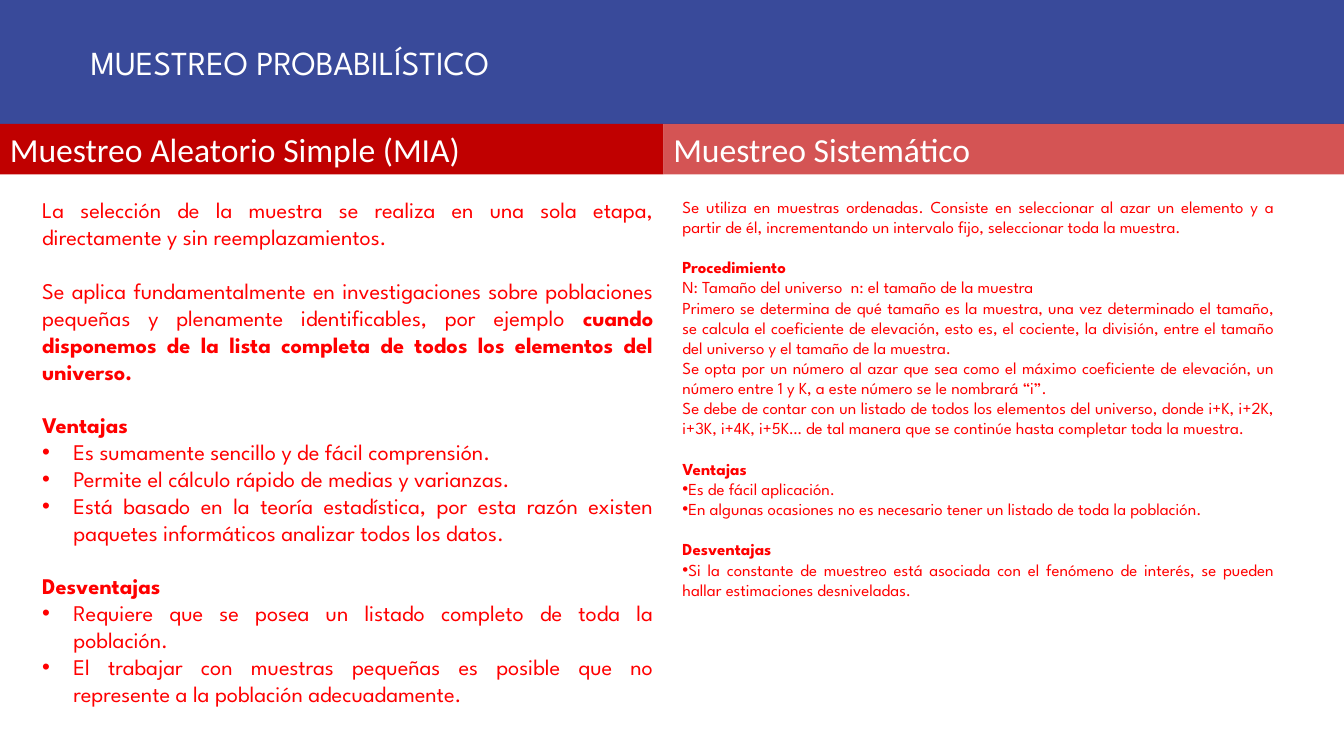
import pptx
import pptx.dml.color
import pptx.enum.shapes
import pptx.enum.text
import pptx.util
from lxml import etree

COLORS = {"title": "394A9A", "band": "C00000", "body": "FF0000", "light": "FFFFFF"}
ALIGN = pptx.enum.text.PP_ALIGN
ANCHOR = pptx.enum.text.MSO_ANCHOR
LINE_HEIGHT = 1.2

SIMPLE = [
    ("text", "La selección de la muestra se realiza en una sola etapa, directamente y sin reemplazamientos."),
    ("section", "Se aplica fundamentalmente en investigaciones sobre poblaciones pequeñas y plenamente "
     "identificables, por ejemplo ",
     "cuando disponemos de la lista completa de todos los elementos del universo."),
    ("heading", "Ventajas"),
    ("bullet", "Es sumamente sencillo y de fácil comprensión."),
    ("bullet", "Permite el cálculo rápido de medias y varianzas."),
    ("bullet", "Está basado en la teoría estadística, por esta razón existen paquetes informáticos "
     "analizar todos los datos."),
    ("heading", "Desventajas"),
    ("bullet", "Requiere que se posea un listado completo de toda la población."),
    ("bullet", "El trabajar con muestras pequeñas es posible que no represente a la población adecuadamente."),
]
SYSTEMATIC = [
    ("text", "Se utiliza en muestras ordenadas. Consiste en seleccionar al azar un elemento y a partir de él, "
     "incrementando un intervalo fijo, seleccionar toda la muestra."),
    ("heading", "Procedimiento"),
    ("text", "N: Tamaño del universo  n: el tamaño de la muestra"),
    ("text", "Primero se determina de qué tamaño es la muestra, una vez determinado el tamaño, se calcula el "
     "coeficiente de elevación, esto es, el cociente, la división, entre el tamaño del universo y el tamaño "
     "de la muestra."),
    ("text", "Se opta por un número al azar que sea como el máximo coeficiente de elevación, un número entre "
     "1 y K, a este número se le nombrará “i”."),
    ("text", "Se debe de contar con un listado de todos los elementos del universo, donde i+K, i+2K, i+3K, "
     "i+4K, i+5K… de tal manera que se continúe hasta completar toda la muestra."),
    ("heading", "Ventajas"),
    ("bullet", "Es de fácil aplicación."),
    ("bullet", "En algunas ocasiones no es necesario tener un listado de toda la población."),
    ("heading", "Desventajas"),
    ("bullet", "Si la constante de muestreo está asociada con el fenómeno de interés, se pueden hallar "
     "estimaciones desniveladas."),
]


class SlideBuilder:
    def __init__(self, presentation):
        self.width = presentation.slide_width
        self.height = presentation.slide_height
        self.slide = presentation.slides.add_slide(presentation.slide_layouts[5])

    def box(self, left, top, width, height):
        return (int(self.width * left / 100), int(self.height * top / 100),
                int(self.width * width / 100), int(self.height * height / 100))

    def fill(self, shape, color):
        shape.fill.solid()
        shape.fill.fore_color.rgb = pptx.dml.color.RGBColor.from_string(COLORS[color])

    def font(self, paragraph, name, size, color):
        paragraph.font.name = name
        paragraph.font.size = pptx.util.Pt(size)
        paragraph.font.color.rgb = pptx.dml.color.RGBColor.from_string(COLORS[color])

    def title(self, text, *place):
        shape = self.slide.shapes.title
        shape.left, shape.top, shape.width, shape.height = self.box(*place)
        self.fill(shape, "title")
        frame = shape.text_frame
        frame.auto_size = pptx.enum.text.MSO_AUTO_SIZE.NONE
        frame.vertical_anchor = ANCHOR.MIDDLE
        frame.margin_left = pptx.util.Inches(0.9)
        frame.margin_top = pptx.util.Inches(0.09)
        paragraph = frame.paragraphs[0]
        paragraph.text = text
        paragraph.alignment = ALIGN.LEFT
        self.font(paragraph, "League Spartan", 24, "light")

    def band(self, text, *place, opacity=100):
        shape = self.slide.shapes.add_shape(pptx.enum.shapes.MSO_SHAPE.RECTANGLE, *self.box(*place))
        shape.shadow.inherit = False
        shape.line.fill.background()
        self.fill(shape, "band")
        if opacity < 100:
            color = shape.fill._xPr.find(".//" + pptx.oxml.ns.qn("a:srgbClr"))
            etree.SubElement(color, pptx.oxml.ns.qn("a:alpha"), val=str(opacity * 1000))
        frame = shape.text_frame
        frame.word_wrap = True
        frame.vertical_anchor = ANCHOR.TOP
        paragraph = frame.paragraphs[0]
        paragraph.text = text
        paragraph.alignment = ALIGN.LEFT
        self.font(paragraph, "Calibri", 24, "light")

    def bullet(self, paragraph, indent):
        properties = paragraph._p.get_or_add_pPr()
        properties.set("marL", str(pptx.util.Inches(indent)))
        properties.set("indent", str(-pptx.util.Inches(indent)))
        etree.SubElement(properties, pptx.oxml.ns.qn("a:buFont"), typeface="Arial")
        etree.SubElement(properties, pptx.oxml.ns.qn("a:buChar"), char="•")

    def body(self, entries, size, indent, *place):
        frame = self.slide.shapes.add_textbox(*self.box(*place)).text_frame
        frame.word_wrap = True
        for index, (kind, text, *emphasis) in enumerate(entries):
            paragraph = frame.add_paragraph() if index else frame.paragraphs[0]
            paragraph.add_run().text = text
            for strong in emphasis:
                run = paragraph.add_run()
                run.text = strong
                run.font.bold = True
            if kind == "bullet":
                self.bullet(paragraph, indent)
            paragraph.alignment = ALIGN.JUSTIFY
            if kind in ("heading", "section"):
                paragraph.space_before = pptx.util.Pt(size * LINE_HEIGHT)
            self.font(paragraph, "League Spartan", size, "body")
            if kind == "heading":
                paragraph.font.bold = True


def main():
    presentation = pptx.Presentation()
    presentation.slide_width = pptx.util.Inches(13.33)
    presentation.slide_height = pptx.util.Inches(7.5)
    builder = SlideBuilder(presentation)
    split = 49.36
    builder.title("MUESTREO PROBABILÍSTICO", 0, -0.53, 100, 16.93)
    builder.band("Muestreo Aleatorio Simple (MIA)", 0, 16.4, split, 6.67)
    builder.band("Muestreo Sistemático", split, 16.4, 100 - split, 6.67, opacity=67)
    builder.body(SIMPLE, 16, 0.31, 2.4, 25.33, 46.96, 77.2)
    builder.body(SYSTEMATIC, 12, 0, 50.04, 25.33, 45.54, 66)
    presentation.save("out.pptx")


if __name__ == "__main__":
    main()
